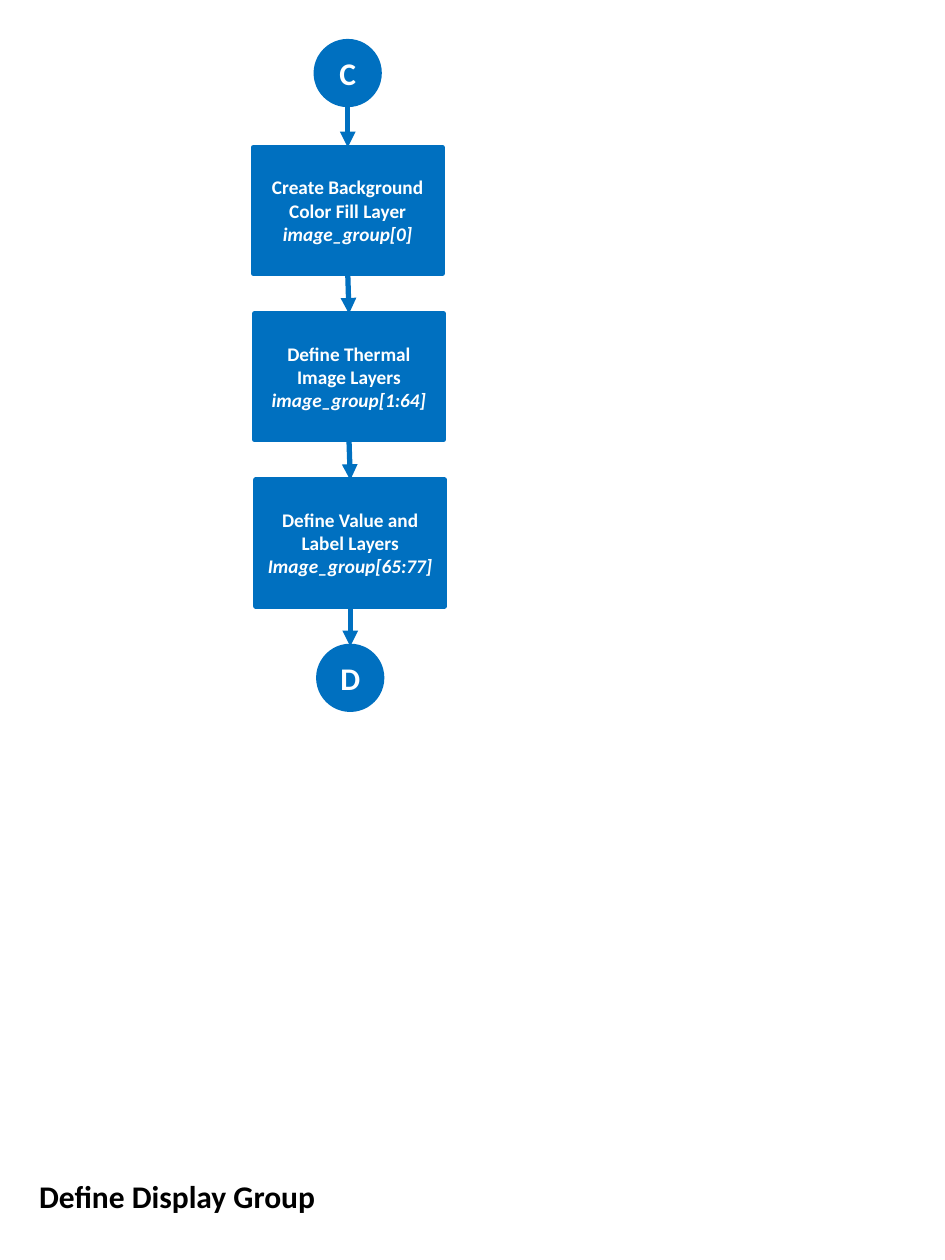
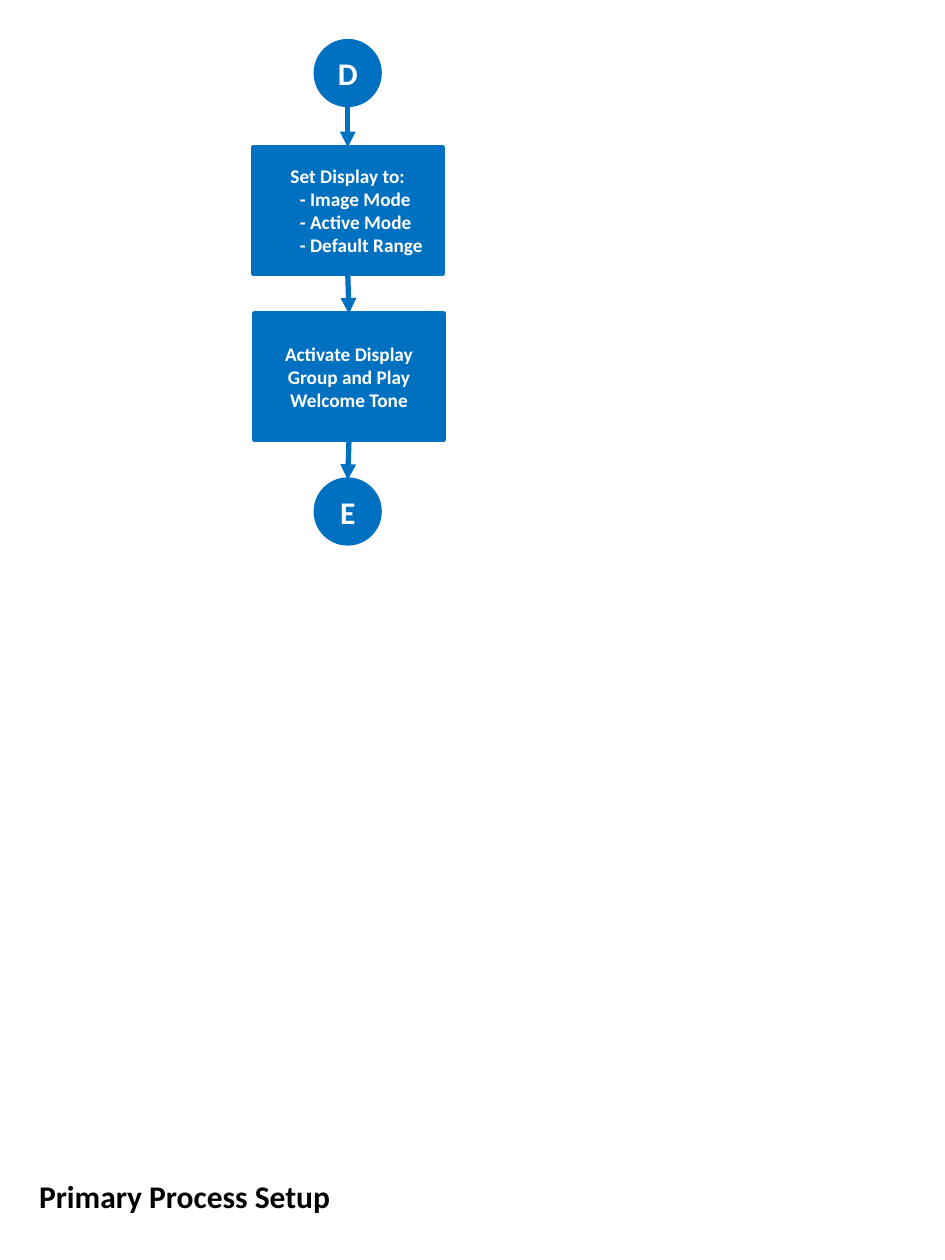
from pptx import Presentation
from pptx.dml.color import RGBColor
from pptx.enum.shapes import MSO_CONNECTOR as Connector, MSO_SHAPE as Shape
from pptx.enum.text import MSO_ANCHOR as Anchor, MSO_AUTO_SIZE as AutoSize, PP_ALIGN as Align
from pptx.oxml.ns import qn
from pptx.util import Inches, Pt
from lxml.etree import SubElement

COLORS = {"flow": "0070C0", "flow_text": "FFFFFF", "title": "000000"}
FONT = "Calibri"
STEP_WIDTH, STEP_HEIGHT = 1.5, 1
FIRST_STEP_LEFT, FIRST_STEP_TOP = 2.01, 1.17
STEP_PITCH, STEP_SHIFT = 1.32, 0.01
CIRCLE_SIZE, START_TOP = 0.5, 0.33
START_CENTER = 2.76

# Each step is a list of (text, style) paragraphs.
FLOWS = [
    {
        "title": "Define Display Group",
        "start": "C",
        "steps": [
            [("Create Background Color Fill Layer", "plain"), ("image_group[0]", "italic")],
            [("Define Thermal Image Layers", "plain"), ("image_group[1:64]", "italic")],
            [("Define Value and Label Layers", "plain"), ("Image_group[65:77]", "italic")],
        ],
        "end": "D",
        "end_center": 2.78,
    },
    {
        "title": "Primary Process Setup",
        "start": "D",
        "steps": [
            [("Set Display to:", "plain"), ("- Image Mode", "item"),
             ("- Active Mode", "item"), ("- Default Range", "item")],
            [("Activate Display Group and Play Welcome Tone", "plain")],
        ],
        "end": "E",
        "end_center": 2.76,
    },
]


def rgb(name):
    return RGBColor.from_string(COLORS[name])


def set_font(para, size, color):
    font = para.font
    font.name, font.size, font.bold = FONT, Pt(size), True
    font.color.rgb = rgb(color)


def add_title(page, text):
    title = page.shapes.title
    title.left, title.top = Inches(0.21), Inches(9.29)
    title.width, title.height = Inches(4.1), Inches(0.4)
    frame = title.text_frame
    frame.text = text
    frame.word_wrap = True
    frame.auto_size = AutoSize.SHAPE_TO_FIT_TEXT
    frame.vertical_anchor = Anchor.TOP
    para = frame.paragraphs[0]
    para.alignment = Align.LEFT
    set_font(para, 18, "title")


def add_flow_shape(page, kind, left, top, width, height):
    shape = page.shapes.add_shape(
        kind, Inches(left), Inches(top), Inches(width), Inches(height))
    shape.shadow.inherit = False
    shape.fill.solid()
    shape.fill.fore_color.rgb = rgb("flow")
    shape.line.color.rgb = rgb("flow")
    shape.line.width = Pt(3)
    shape.text_frame.word_wrap = True
    shape.text_frame.vertical_anchor = Anchor.MIDDLE
    return shape


def add_circle(page, letter, center, top):
    circle = add_flow_shape(page, Shape.OVAL, center - CIRCLE_SIZE / 2, top,
                            CIRCLE_SIZE, CIRCLE_SIZE)
    circle.text_frame.text = letter
    para = circle.text_frame.paragraphs[0]
    para.alignment = Align.CENTER
    set_font(para, 18, "flow_text")
    return circle


def add_step(page, lines, left, top):
    box = add_flow_shape(page, Shape.FLOWCHART_PROCESS, left, top,
                         STEP_WIDTH, STEP_HEIGHT)
    frame = box.text_frame
    frame.margin_left = frame.margin_right = Inches(0.05)
    frame.margin_top = frame.margin_bottom = Inches(0.05)
    frame.text = "\n".join(text for text, _ in lines)
    for para, (_, style) in zip(frame.paragraphs, lines):
        set_font(para, 11, "flow_text")
        para.alignment = Align.CENTER
        if style == "italic":
            para.font.italic = True
        elif style == "item":
            para.alignment = Align.LEFT
            para.level = 1
            properties = para._p.get_or_add_pPr()
            properties.set("marL", str(Inches(0.32)))
            properties.set("indent", "0")
    return box


def add_arrow(page, upper, lower):
    """Draw an arrow from the bottom of upper to the top of lower."""
    center = upper.left + upper.width // 2
    arrow = page.shapes.add_connector(
        Connector.STRAIGHT, center, upper.top + upper.height, center, lower.top)
    # Site 2 is the bottom middle on a rectangle, but not on an ellipse.
    if upper.auto_shape_type == Shape.FLOWCHART_PROCESS:
        arrow.begin_connect(upper, 2)
    arrow.end_connect(lower, 0)
    arrow.line.color.rgb = rgb("flow")
    arrow.line.width = Pt(3)
    SubElement(arrow.line._get_or_add_ln(), qn("a:tailEnd"), type="triangle")
    SubElement(arrow._element.spPr, qn("a:effectLst"))


def add_flow(deck, flow):
    page = deck.slides.add_slide(deck.slide_layouts[5])
    add_title(page, flow["title"])
    chain = [add_circle(page, flow["start"], START_CENTER, START_TOP)]
    for index, lines in enumerate(flow["steps"]):
        chain.append(add_step(page, lines,
                              FIRST_STEP_LEFT + index * STEP_SHIFT,
                              FIRST_STEP_TOP + index * STEP_PITCH))
    end_top = FIRST_STEP_TOP + len(flow["steps"]) * STEP_PITCH
    chain.append(add_circle(page, flow["end"], flow["end_center"], end_top))
    for upper, lower in zip(chain, chain[1:]):
        add_arrow(page, upper, lower)


def main():
    deck = Presentation()
    deck.slide_width, deck.slide_height = Inches(7.5), Inches(10)
    for flow in FLOWS:
        add_flow(deck, flow)
    deck.save("out.pptx")


if __name__ == "__main__":
    main()
